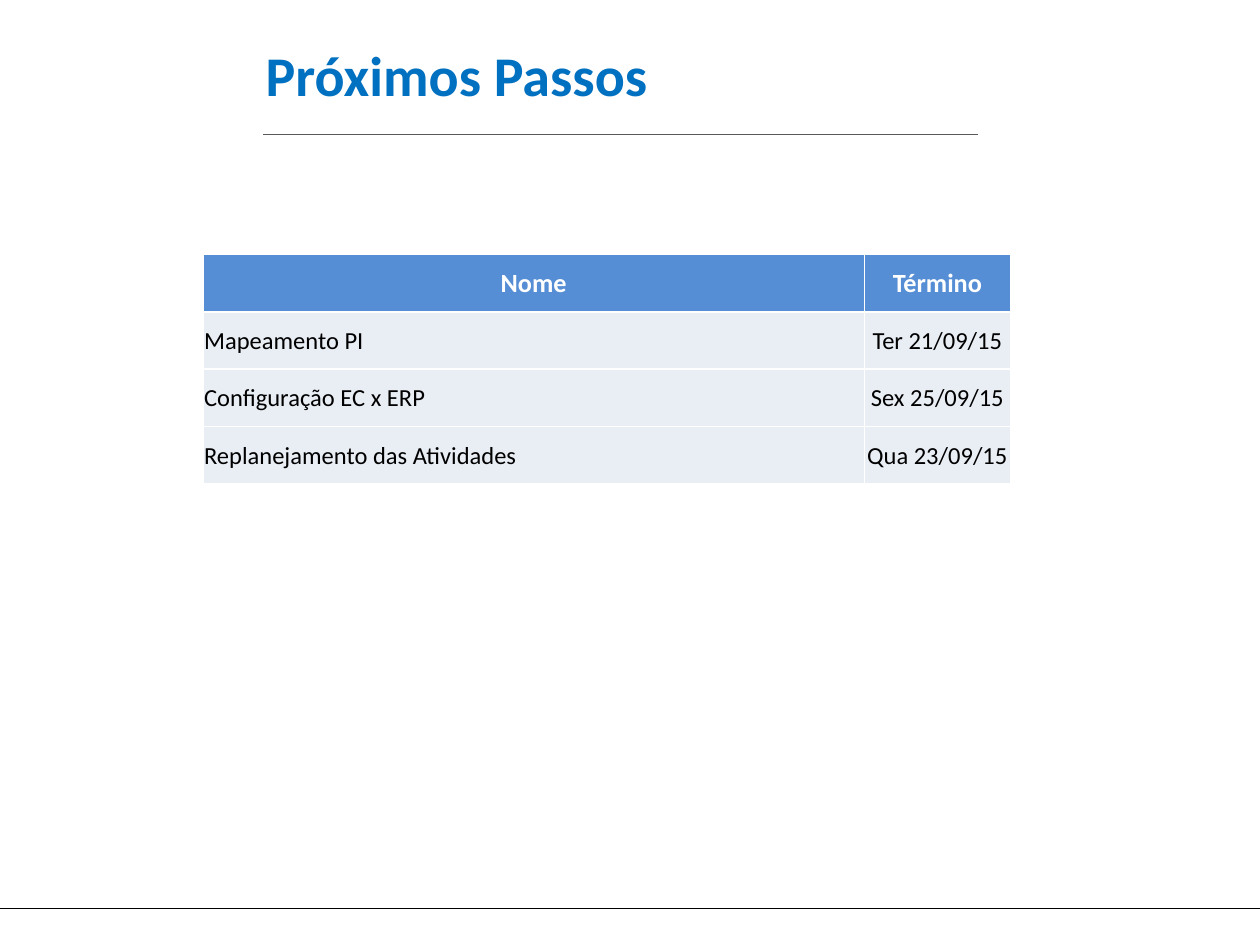
import dataclasses

import lxml.etree
import pptx
import pptx.dml.color
import pptx.enum.shapes
import pptx.enum.text
import pptx.oxml.ns
import pptx.util

Inches = pptx.util.Inches
Pt = pptx.util.Pt
qn = pptx.oxml.ns.qn
ALIGN = pptx.enum.text.PP_ALIGN
MIDDLE = pptx.enum.text.MSO_ANCHOR.MIDDLE


@dataclasses.dataclass(frozen=True)
class Theme:
    font: str = "Calibri"
    title: str = "0070C0"
    text: str = "000000"
    rule: str = "595959"
    footer: str = "000000"
    header_fill: str = "558ED5"
    header_text: str = "FFFFFF"
    body_fill: str = "E9EDF4"
    border: str = "FFFFFF"
    title_size: int = 32
    header_size: int = 15
    body_size: int = 14


def rgb(color):
    return pptx.dml.color.RGBColor.from_string(color)


class SlideBuilder:
    def __init__(self, slide, theme):
        self.slide = slide
        self.theme = theme

    def style(self, p, size, color, bold=False, align=ALIGN.LEFT):
        p.alignment = align
        p.font.name = self.theme.font
        p.font.size = Pt(size)
        p.font.bold = bold
        p.font.color.rgb = rgb(color)

    def line(self, x1, x2, y, color, width):
        c = self.slide.shapes.add_connector(
            pptx.enum.shapes.MSO_CONNECTOR.STRAIGHT,
            Inches(x1), Inches(y), Inches(x2), Inches(y))
        c.line.color.rgb = rgb(color)
        c.line.width = Pt(width)
        lxml.etree.SubElement(c._element.spPr, qn("a:effectLst"))

    def title(self, text, x, y, w, h):
        sp = self.slide.shapes.add_textbox(Inches(x), Inches(y), Inches(w), Inches(h))
        tf = sp.text_frame
        tf.word_wrap = True
        tf.vertical_anchor = MIDDLE
        p = tf.paragraphs[0]
        p.text = text
        self.style(p, self.theme.title_size, self.theme.title, bold=True)

    def borders(self, cell):
        tc_pr = cell._tc.get_or_add_tcPr()
        for side in ("lnL", "lnR", "lnT", "lnB"):
            ln = lxml.etree.SubElement(tc_pr, qn(f"a:{side}"), w=str(Pt(1)))
            fill = lxml.etree.SubElement(ln, qn("a:solidFill"))
            lxml.etree.SubElement(fill, qn("a:srgbClr"), val=self.theme.border)

    def cell(self, cell, text, header, align):
        t = self.theme
        self.borders(cell)
        cell.fill.solid()
        cell.fill.fore_color.rgb = rgb(t.header_fill if header else t.body_fill)
        cell.margin_left = cell.margin_right = cell.margin_top = Inches(0.01)
        cell.margin_bottom = 0
        cell.vertical_anchor = MIDDLE
        p = cell.text_frame.paragraphs[0]
        p.text = text
        if header:
            self.style(p, t.header_size, t.header_text, bold=True, align=align)
        else:
            self.style(p, t.body_size, t.text, align=align)

    def table(self, rows, x, y, col_widths, row_height):
        table = self.slide.shapes.add_table(
            len(rows), len(col_widths), Inches(x), Inches(y),
            Inches(sum(col_widths)), Inches(row_height * len(rows))).table
        for col, width in zip(table.columns, col_widths):
            col.width = Inches(width)
        for i, values in enumerate(rows):
            table.rows[i].height = Inches(row_height)
            for j, value in enumerate(values):
                align = ALIGN.LEFT if i and j == 0 else ALIGN.CENTER
                self.cell(table.cell(i, j), value, i == 0, align)


def main():
    prs = pptx.Presentation()
    prs.slide_width = Inches(10)
    prs.slide_height = Inches(7.5)
    theme = Theme()
    s = SlideBuilder(prs.slides.add_slide(prs.slide_layouts[6]), theme)

    s.line(0, 10, 7.21, theme.footer, 0.75)
    s.line(2.09, 7.76, 1.07, theme.rule, 0.5)
    s.title("Próximos Passos", 2.01, 0.15, 6.17, 0.87)
    s.table([
        ("Nome", "Término"),
        ("Mapeamento PI", "Ter 21/09/15"),
        ("Configuração EC x ERP", "Sex 25/09/15"),
        ("Replanejamento das Atividades", "Qua 23/09/15"),
    ], 1.61, 2.02, (5.25, 1.16), 0.455)

    prs.save("out.pptx")


if __name__ == "__main__":
    main()
